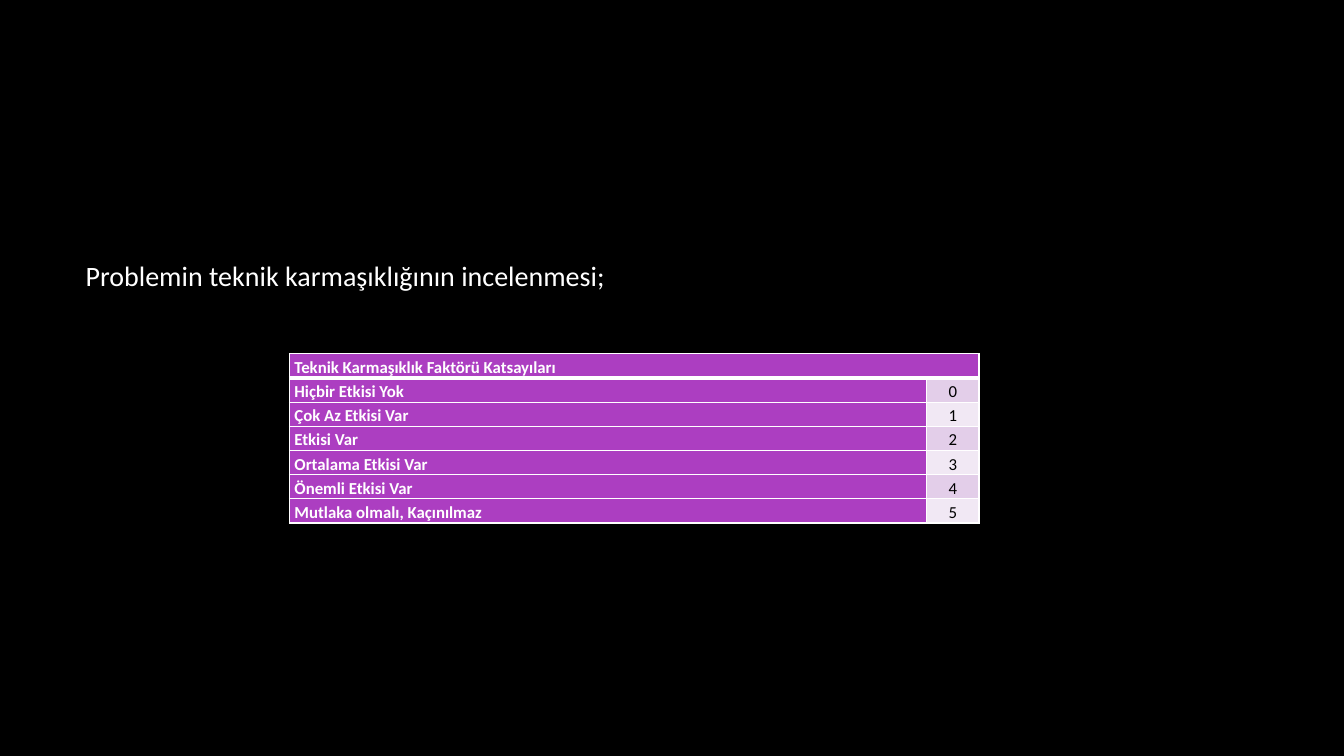
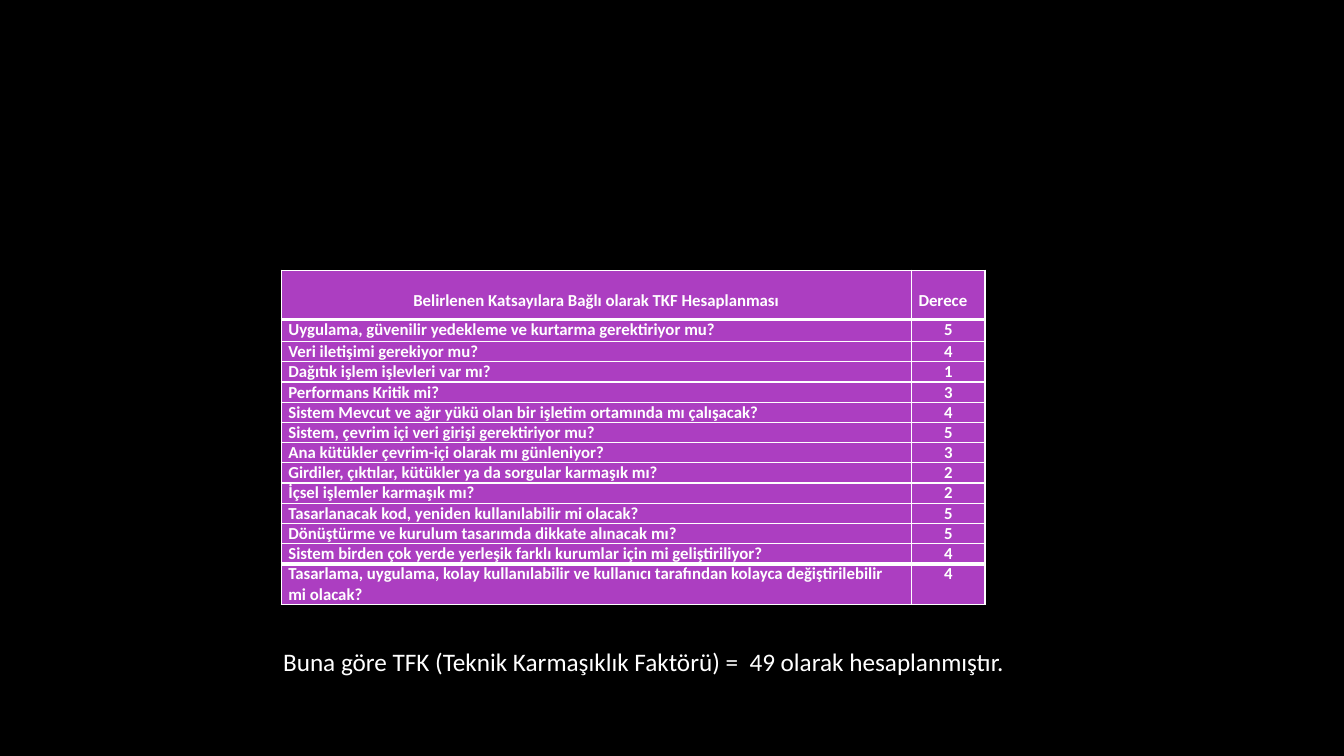
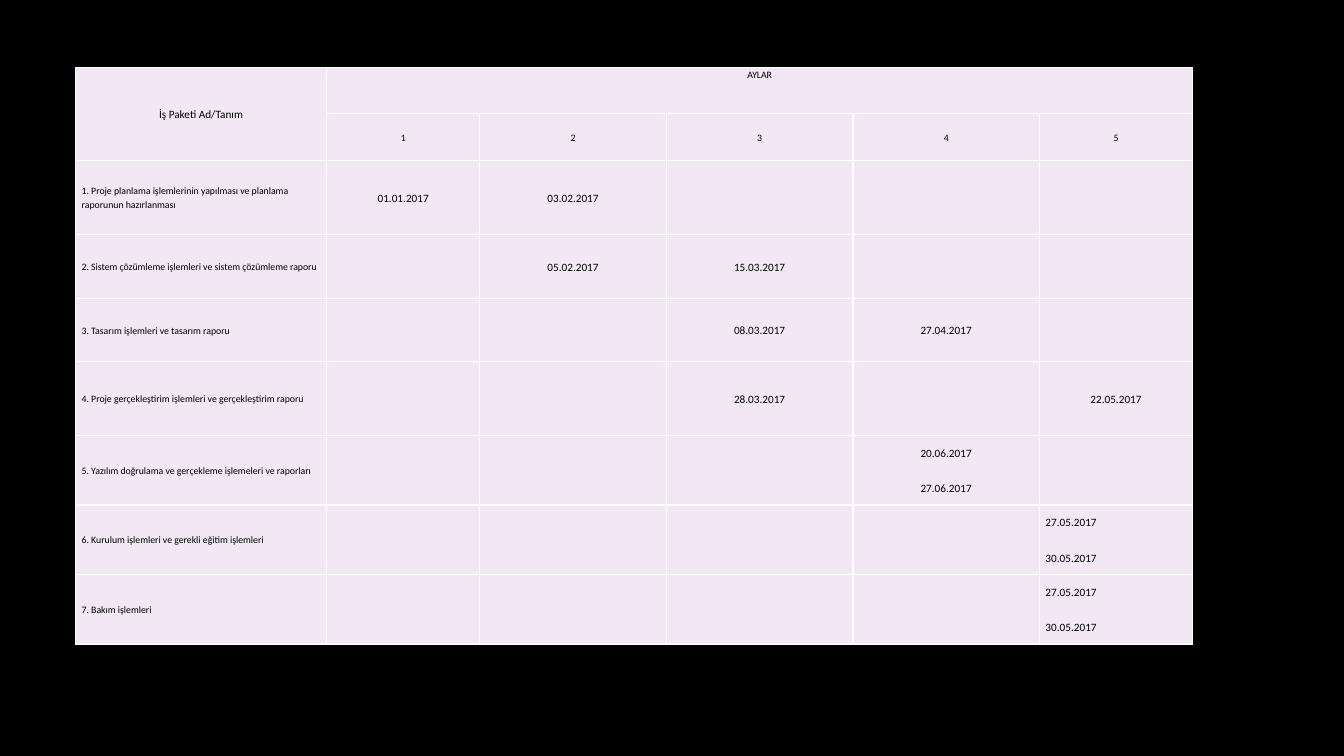
from dataclasses import dataclass, replace

from lxml import etree
from pptx import Presentation
from pptx.dml.color import RGBColor
from pptx.enum.text import MSO_ANCHOR, PP_ALIGN
from pptx.oxml.ns import qn
from pptx.util import Inches, Pt

LEFT, CENTER, JUSTIFY = PP_ALIGN.LEFT, PP_ALIGN.CENTER, PP_ALIGN.JUSTIFY
TOP, MIDDLE, BOTTOM = MSO_ANCHOR.TOP, MSO_ANCHOR.MIDDLE, MSO_ANCHOR.BOTTOM

BLACK, WHITE = "000000", "FFFFFF"
PURPLE, LILAC, PALE_LILAC = "AC3EC1", "E3CEE9", "F1E8F4"
FONT = "Calibri"
BLANK_LAYOUT = 6
THIN_LINE, THICK_LINE = 1, 3


@dataclass(frozen=True)
class TextStyle:
    size: float
    color: str = WHITE
    bold: bool = False
    align: PP_ALIGN = LEFT
    anchor: MSO_ANCHOR = TOP
    line_spacing: float = 1.0
    before: float = 0
    after: float = 0


@dataclass(frozen=True)
class Cell:
    text: str
    style: TextStyle
    fill: str
    bottom_margin: float = 0


@dataclass(frozen=True)
class TableSpec:
    left: float
    top: float
    columns: list[float]
    rows: list[float]
    cells: list[list[Cell]]
    side_margin: float
    merges: tuple[tuple[int, int, int, int], ...] = ()
    thick_rules: tuple[int, ...] = ()


def rgb(color: str) -> RGBColor:
    return RGBColor.from_string(color)


def write_text(text_frame, text: str, style: TextStyle) -> None:
    text_frame.text = text
    for paragraph in text_frame.paragraphs:
        paragraph.alignment = style.align
        paragraph.line_spacing = style.line_spacing
        paragraph.space_before = Pt(style.before)
        paragraph.space_after = Pt(style.after)
        for run in paragraph.runs:
            run.font.name = FONT
            run.font.size = Pt(style.size)
            run.font.bold = style.bold
            run.font.color.rgb = rgb(style.color)


def add_text(slide, left: float, top: float, width: float, height: float,
             text: str, style: TextStyle) -> None:
    box = slide.shapes.add_textbox(Inches(left), Inches(top), Inches(width), Inches(height))
    box.text_frame.word_wrap = True
    box.text_frame.vertical_anchor = style.anchor
    write_text(box.text_frame, text, style)


def add_borders(cell, top_width: float, bottom_width: float) -> None:
    widths = {"a:lnL": THIN_LINE, "a:lnR": THIN_LINE, "a:lnT": top_width, "a:lnB": bottom_width}
    properties = cell._tc.get_or_add_tcPr()
    for tag, width in widths.items():
        line = etree.SubElement(properties, qn(tag), w=str(Pt(width)))
        fill = etree.SubElement(line, qn("a:solidFill"))
        etree.SubElement(fill, qn("a:srgbClr"), val=WHITE)


def add_table(slide, spec: TableSpec) -> None:
    """Draw the table; thick_rules numbers row boundaries, with 0 at the top edge."""
    frame = slide.shapes.add_table(
        len(spec.rows), len(spec.columns), Inches(spec.left), Inches(spec.top),
        Inches(sum(spec.columns)), Inches(sum(spec.rows)))
    table = frame.table
    table.first_row = table.horz_banding = False
    for column, width in zip(table.columns, spec.columns):
        column.width = Inches(width)
    for row, height in zip(table.rows, spec.rows):
        row.height = Inches(height)

    for row_index, row_cells in enumerate(spec.cells):
        top_width, bottom_width = (
            THICK_LINE if rule in spec.thick_rules else THIN_LINE
            for rule in (row_index, row_index + 1))
        for column_index, content in enumerate(row_cells):
            cell = table.cell(row_index, column_index)
            cell.margin_left = cell.margin_right = Inches(spec.side_margin)
            cell.margin_top = 0
            cell.margin_bottom = Inches(content.bottom_margin)
            cell.vertical_anchor = content.style.anchor
            add_borders(cell, top_width, bottom_width)
            cell.fill.solid()
            cell.fill.fore_color.rgb = rgb(content.fill)
            write_text(cell.text_frame, content.text, content.style)

    for first_row, first_column, last_row, last_column in spec.merges:
        table.cell(first_row, first_column).merge(table.cell(last_row, last_column))


def build_coefficients(slide) -> None:
    add_text(slide, 0.75, 2.52, 11.08, 0.42, "Problemin teknik karmaşıklığının incelenmesi;",
             TextStyle(20, anchor=MIDDLE))

    label_style = TextStyle(12, bold=True, anchor=BOTTOM, line_spacing=1.15)
    value_style = replace(label_style, color=BLACK, bold=False, align=CENTER)
    effects = ["Hiçbir Etkisi Yok", "Çok Az Etkisi Var", "Etkisi Var", "Ortalama Etkisi Var",
               "Önemli Etkisi Var", "Mutlaka olmalı, Kaçınılmaz"]
    cells = [[Cell("Teknik Karmaşıklık Faktörü Katsayıları", label_style, PURPLE),
              Cell("", label_style, PURPLE)]]
    for value, effect in enumerate(effects):
        band = PALE_LILAC if value % 2 else LILAC
        cells.append([Cell(effect, label_style, PURPLE), Cell(str(value), value_style, band)])
    add_table(slide, TableSpec(
        2.87, 3.51, [6.32, 0.52], [0.24] * len(cells), cells, 0.05,
        merges=((0, 0, 0, 1),), thick_rules=(1,)))


def build_complexity_factor(slide) -> None:
    question_style = TextStyle(12, bold=True)
    score_style = replace(question_style, align=CENTER)
    header_style = replace(question_style, anchor=BOTTOM)
    scores = [
        ("Uygulama, güvenilir yedekleme ve kurtarma gerektiriyor mu?", 5),
        ("Veri iletişimi gerekiyor mu?", 4),
        ("Dağıtık işlem işlevleri var mı?", 1),
        ("Performans Kritik mi?", 3),
        ("Sistem Mevcut ve ağır yükü olan bir işletim ortamında mı çalışacak?", 4),
        ("Sistem, çevrim içi veri girişi gerektiriyor mu?", 5),
        ("Ana kütükler çevrim-içi olarak mı günleniyor?", 3),
        ("Girdiler, çıktılar, kütükler ya da sorgular karmaşık mı?", 2),
        ("İçsel işlemler karmaşık mı?", 2),
        ("Tasarlanacak kod, yeniden kullanılabilir mi olacak?", 5),
        ("Dönüştürme ve kurulum tasarımda dikkate alınacak mı?", 5),
        ("Sistem birden çok yerde yerleşik farklı kurumlar için mi geliştiriliyor?", 4),
        ("Tasarlama, uygulama, kolay kullanılabilir ve kullanıcı tarafından kolayca "
         "değiştirilebilir mi olacak?", 4),
    ]
    cells = [[Cell("Belirlenen Katsayılara Bağlı olarak TKF Hesaplanması",
                   replace(header_style, align=CENTER), PURPLE, 0.08),
              Cell("Derece", header_style, PURPLE, 0.08)]]
    cells += [[Cell(question, question_style, PURPLE), Cell(str(score), score_style, PURPLE)]
              for question, score in scores]
    add_table(slide, TableSpec(
        2.79, 2.68, [6.25, 0.73], [0.49, 0.22] + [0.2] * 11 + [0.4], cells, 0.07,
        thick_rules=(1, len(scores))))

    add_text(slide, 2.71, 6.21, 7.44, 0.56,
             "Buna göre TFK (Teknik Karmaşıklık Faktörü) =  49 olarak hesaplanmıştır.",
             TextStyle(18, align=JUSTIFY, line_spacing=1.5))


def build_schedule(slide) -> None:
    month_count = 5
    task_style = TextStyle(7, BLACK, anchor=MIDDLE, line_spacing=1.15, before=14)
    month_style = replace(task_style, align=CENTER)
    date_style = replace(month_style, size=8)
    justified_style = replace(date_style, align=JUSTIFY)
    months_title_style = replace(month_style, anchor=TOP, before=2, after=2)
    tasks = [
        ("1. Proje planlama işlemlerinin yapılması ve planlama raporunun hazırlanması",
         {1: "01.01.2017", 2: "03.02.2017"}),
        ("2. Sistem çözümleme işlemleri ve sistem çözümleme raporu",
         {2: "05.02.2017", 3: "15.03.2017"}),
        ("3. Tasarım işlemleri ve tasarım raporu", {3: "08.03.2017", 4: "27.04.2017"}),
        ("4. Proje gerçekleştirim işlemleri ve gerçekleştirim raporu",
         {3: "28.03.2017", 5: "22.05.2017"}),
        ("5. Yazılım doğrulama ve gerçekleme işlemeleri ve raporları",
         {4: "20.06.2017\n27.06.2017"}),
        ("6. Kurulum işlemleri ve gerekli eğitim işlemleri", {5: "27.05.2017\n30.05.2017"}),
        ("7. Bakım işlemleri", {5: "27.05.2017\n30.05.2017"}),
    ]
    months = range(1, month_count + 1)
    empty = Cell("", date_style, PALE_LILAC)
    cells = [
        [Cell("İş Paketi Ad/Tanım", date_style, PALE_LILAC),
         Cell("AYLAR", months_title_style, PALE_LILAC)] + [empty] * (month_count - 1),
        [empty] + [Cell(str(month), month_style, PALE_LILAC) for month in months],
    ]
    for task, dates in tasks:
        style = justified_style if list(dates) == [month_count] else date_style
        cells.append([Cell(task, task_style, PALE_LILAC)]
                     + [Cell(dates.get(month, ""), style, PALE_LILAC) for month in months])
    add_table(slide, TableSpec(
        0.75, 0.67, [2.49, 1.52, 1.85, 1.85, 1.85, 1.52],
        [0.46, 0.46, 0.74, 0.63, 0.63, 0.73, 0.69, 0.69, 0.69], cells, 0.06,
        merges=((0, 0, 1, 0), (0, 1, 0, month_count))))


def main() -> None:
    presentation = Presentation()
    presentation.slide_width, presentation.slide_height = Inches(13.33), Inches(7.5)
    background = presentation.slide_master.background.fill
    background.solid()
    background.fore_color.rgb = rgb(BLACK)
    for build in (build_coefficients, build_complexity_factor, build_schedule):
        build(presentation.slides.add_slide(presentation.slide_layouts[BLANK_LAYOUT]))
    presentation.save("out.pptx")


if __name__ == "__main__":
    main()
